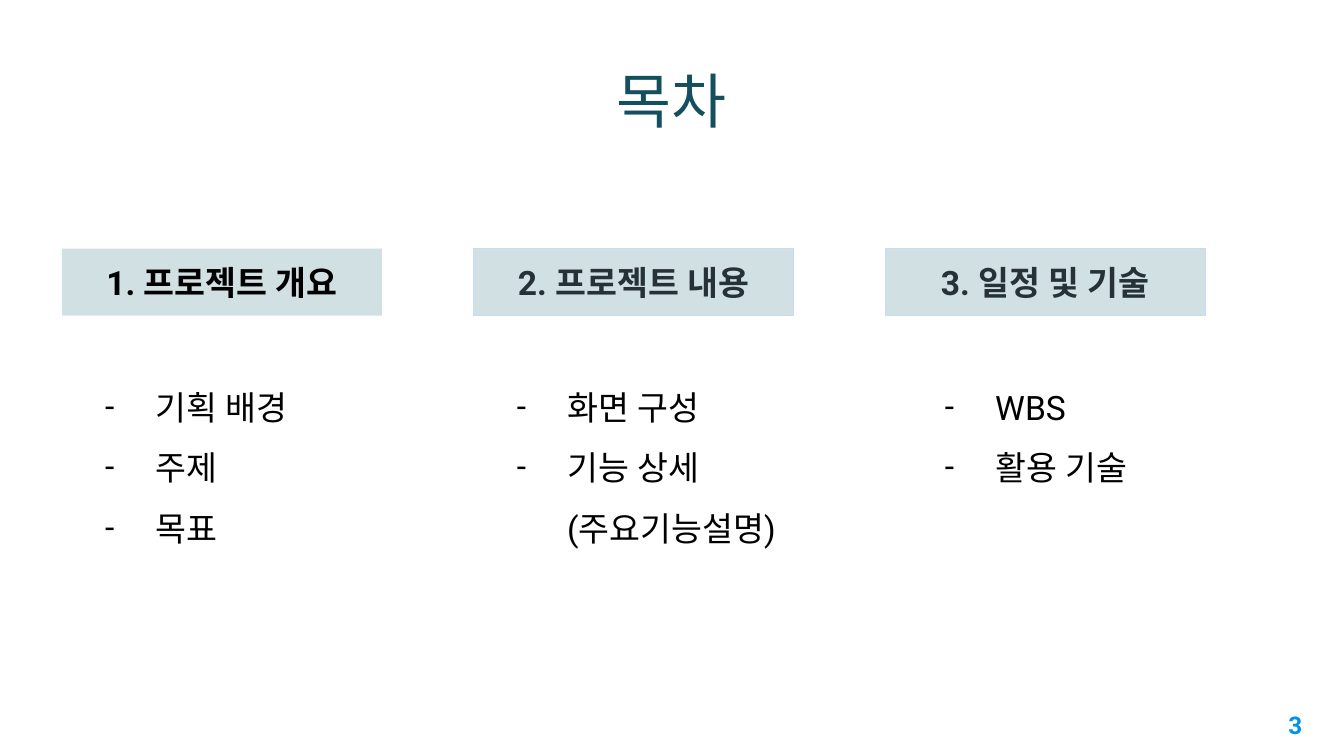
from lxml import etree
from pptx import Presentation
from pptx.dml.color import RGBColor
from pptx.enum.shapes import MSO_SHAPE
from pptx.enum.text import MSO_ANCHOR, PP_ALIGN
from pptx.oxml.ns import qn
from pptx.util import Cm, Pt

RECTANGLE = MSO_SHAPE.RECTANGLE
TOP, MIDDLE, BOTTOM = MSO_ANCHOR.TOP, MSO_ANCHOR.MIDDLE, MSO_ANCHOR.BOTTOM
LEFT, CENTER, RIGHT = PP_ALIGN.LEFT, PP_ALIGN.CENTER, PP_ALIGN.RIGHT

TITLE = "목차"
PAGE_NUMBER = "3"
SECTIONS = [
    {"heading": "1. 프로젝트 개요", "color": "000000", "border": None,
     "items": ["기획 배경", "주제", "목표"],
     "list_offset": 0.25, "list_width": 5.11},
    {"heading": "2. 프로젝트 내용", "color": "263238", "border": "C9DAF8",
     "items": ["화면 구성", "기능 상세 (주요기능설명)"],
     "list_offset": 0.25, "list_width": 6.05},
    {"heading": "3. 일정 및 기술", "color": "263238", "border": "C9DAF8",
     "items": ["WBS", "활용 기술"],
     "list_offset": 0.56, "list_width": 5.49},
]
FIRST_LEFT, COLUMN_STEP = 1.17, 7.78
HEADING_TOP, HEADING_WIDTH, HEADING_HEIGHT = 4.7, 6.05, 1.27
LIST_TOP, LIST_HEIGHT = 6.68, 3.58


def rgb(value):
    return RGBColor.from_string(value)


def add_bullet(para):
    properties = para._p.get_or_add_pPr()
    properties.set("marL", str(Cm(1.27)))
    properties.set("indent", str(-Cm(0.95)))
    color = etree.SubElement(properties, qn("a:buClr"))
    etree.SubElement(color, qn("a:srgbClr"), val="000000")
    etree.SubElement(properties, qn("a:buFont"), typeface="Roboto")
    etree.SubElement(properties, qn("a:buChar"), char="-")


def write(box, lines, size=18, font="Roboto", color="000000", bold=False,
          align=LEFT, anchor=TOP, before=0, spacing=1.0, bullet=False):
    frame = box.text_frame
    frame.word_wrap = True
    frame.vertical_anchor = anchor
    frame.margin_left = frame.margin_right = Cm(0.25)
    frame.margin_top = frame.margin_bottom = Cm(0.25)
    for index, line in enumerate(lines):
        para = frame.add_paragraph() if index else frame.paragraphs[0]
        para.alignment = align
        para.space_before = Pt(before)
        para.line_spacing = spacing
        if bullet:
            add_bullet(para)
        span = para.add_run()
        span.text = line
        span.font.size = Pt(size)
        span.font.bold = bold
        span.font.color.rgb = rgb(color)
        span.font.name = font
        etree.SubElement(span._r.get_or_add_rPr(), qn("a:ea"), typeface=font)


def add_text(page, left, top, width, height, lines, **style):
    box = page.shapes.add_textbox(Cm(left), Cm(top), Cm(width), Cm(height))
    write(box, lines, **style)


def add_heading(page, left, section):
    box = page.shapes.add_shape(RECTANGLE, Cm(left), Cm(HEADING_TOP),
                                Cm(HEADING_WIDTH), Cm(HEADING_HEIGHT))
    box.shadow.inherit = False
    box.fill.solid()
    box.fill.fore_color.rgb = rgb("D0E0E3")
    if section["border"]:
        box.line.color.rgb = rgb(section["border"])
        box.line.width = Pt(0.75)
    else:
        box.line.fill.background()
    write(box, [section["heading"]], color=section["color"], bold=True,
          align=CENTER, anchor=MIDDLE, before=6)


def main():
    deck = Presentation()
    deck.slide_width, deck.slide_height = Cm(25.4), Cm(14.29)
    page = deck.slides.add_slide(deck.slide_layouts[6])
    add_text(page, 2.18, 0.86, 21.03, 1.96, [TITLE], size=32, font="Arial",
             color="134F5C", align=CENTER, anchor=BOTTOM)
    add_text(page, 23.34, 13.18, 1.52, 1.09, [PAGE_NUMBER], size=13,
             color="0091EA", bold=True, align=RIGHT)
    for index, section in enumerate(SECTIONS):
        left = FIRST_LEFT + index * COLUMN_STEP
        add_heading(page, left, section)
        add_text(page, left + section["list_offset"], LIST_TOP,
                 section["list_width"], LIST_HEIGHT, section["items"],
                 spacing=1.5, bullet=True)
    deck.save("out.pptx")


if __name__ == "__main__":
    main()
